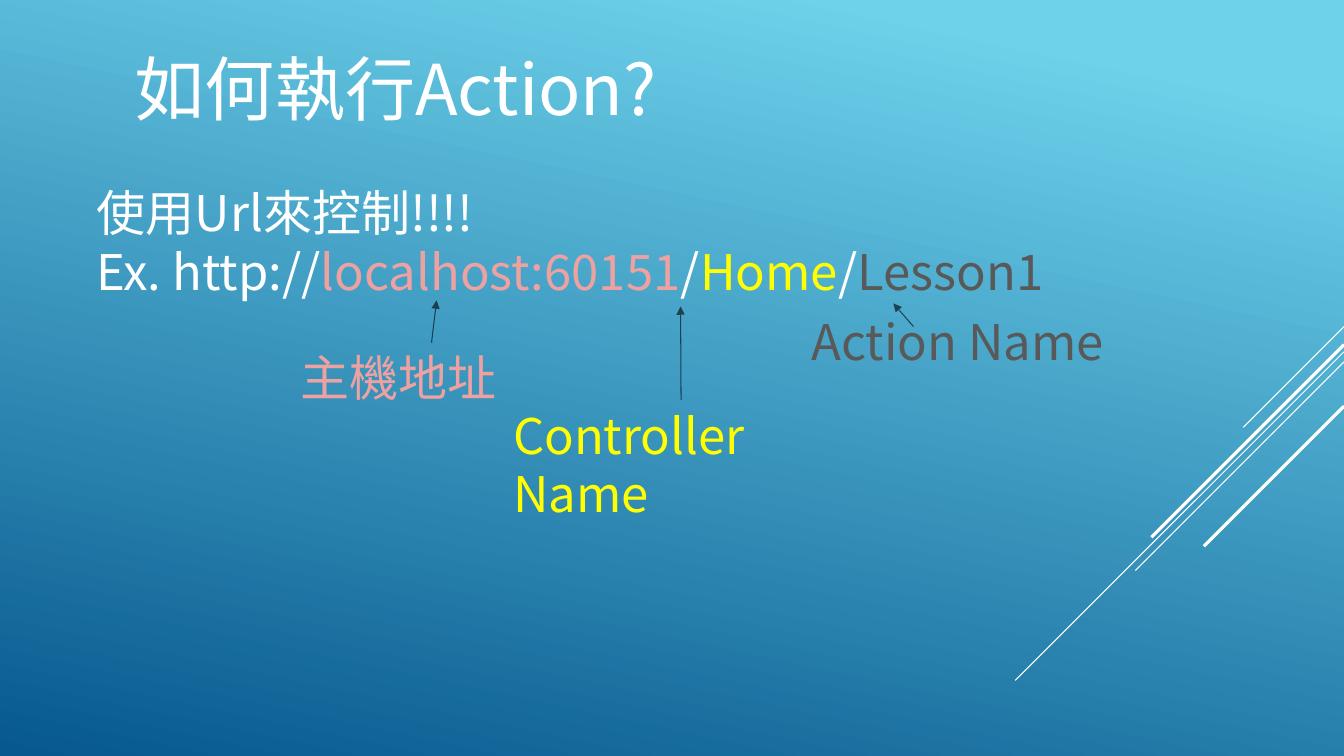
from lxml import etree
from pptx import Presentation
from pptx.dml.color import RGBColor
from pptx.enum import shapes, text
from pptx.oxml.ns import qn
from pptx.util import Inches, Pt

THEME = {
    "font": "Noto Sans CJK JP",
    "title": 50, "body": 35, "thin": 0.75, "thick": 2.25,
    "white": "FFFFFF", "host": "EEA1A1", "controller": "FFFF00",
    "action": "595959", "arrow": "000000",
    "sky": "6ED2EB", "deep": "06588E",
}

# Content: name -> (left, top, width, height), size, paragraphs of (text, colour)
TEXTS = {
    "title": ((1.24, 0.4, 8.09, 0.94), "title", [[("如何執行Action?", "white")]]),
    "url": ((0.86, 1.76, 11.77, 1.28), "body", [
        [("使用Url來控制!!!!", "white")],
        [("Ex. http://", "white"), ("localhost:60151", "host"), ("/", "white"),
         ("Home", "controller"), ("/", "white"), ("Lesson1", "action")],
    ]),
    "host": ((2.88, 3.4, 2.18, 0.69), "body", [[("主機地址", "host")]]),
    "controller": ((4.99, 3.97, 3.53, 0.69), "body",
                   [[("Controller Name", "controller")]]),
    "action": ((7.95, 3.04, 3.53, 0.69), "body", [[("Action Name", "action")]]),
}
# Label, start, end
ARROWS = [
    ("controller", (6.75, 3.97), (6.75, 3.04)),
    ("action", (9.06, 3.24), (8.86, 3.01)),
    ("host", (4.28, 3.4), (4.33, 2.98)),
]
# Diagonal rays from the right edge: start height, run, weight
RAYS = [(3.24, 1.0, "thin"), (3.49, 3.26, "thin"), (3.59, 2.07, "thin"),
        (3.42, 1.91, "thick"), (4.03, 1.39, "thick")]
WIDTH, HEIGHT = 13.33, 7.5


def rgb(name):
    return RGBColor.from_string(THEME[name])


def add_line(s, start, end, colour, weight):
    line = s.shapes.add_connector(shapes.MSO_CONNECTOR.STRAIGHT,
                                  *map(Inches, start + end))
    line.line.color.rgb = rgb(colour)
    line.line.width = Pt(THEME[weight])
    etree.SubElement(line._element.spPr, qn("a:effectLst"))
    return line


def add_text(s, box, size, paragraphs):
    sp = s.shapes.add_textbox(*map(Inches, box))
    tf = sp.text_frame
    tf.word_wrap = True
    tf.auto_size = text.MSO_AUTO_SIZE.SHAPE_TO_FIT_TEXT
    for i, runs in enumerate(paragraphs):
        p = tf.add_paragraph() if i else tf.paragraphs[0]
        for words, colour in runs:
            r = p.add_run()
            r.text = words
            r.font.size = Pt(THEME[size])
            r.font.name = THEME["font"]
            r.font.color.rgb = rgb(colour)
            # East Asian typeface follows the Latin one
            ea = etree.Element(qn("a:ea"), typeface=THEME["font"])
            r._r.rPr.find(qn("a:latin")).addnext(ea)
    return sp


def main():
    prs = Presentation()
    prs.slide_width, prs.slide_height = Inches(WIDTH), Inches(HEIGHT)
    s = prs.slides.add_slide(prs.slide_layouts[6])

    # Background gradient
    fill = s.background.fill
    fill.gradient()
    fill.gradient_angle = 360 - 102
    for stop, (position, colour) in zip(fill.gradient_stops,
                                        [(0.1, "sky"), (1, "deep")]):
        stop.position = position
        stop.color.rgb = rgb(colour)

    # Decorative rays at 45 degrees
    for y, run, weight in RAYS:
        add_line(s, (WIDTH, y), (WIDTH - run, y + run), "white", weight)

    # Texts
    boxes = {name: add_text(s, *item) for name, item in TEXTS.items()}

    # Arrows from the labels to the parts of the address
    for label, start, end in ARROWS:
        arrow = add_line(s, start, end, "arrow", "thin")
        ln = arrow.line._get_or_add_ln()
        etree.SubElement(ln, qn("a:tailEnd"), type="triangle")
        etree.SubElement(ln.find(".//" + qn("a:srgbClr")), qn("a:alpha"), val="60000")
        if label == "controller":
            arrow.begin_connect(boxes[label], 0)

    prs.save("out.pptx")


if __name__ == "__main__":
    main()
